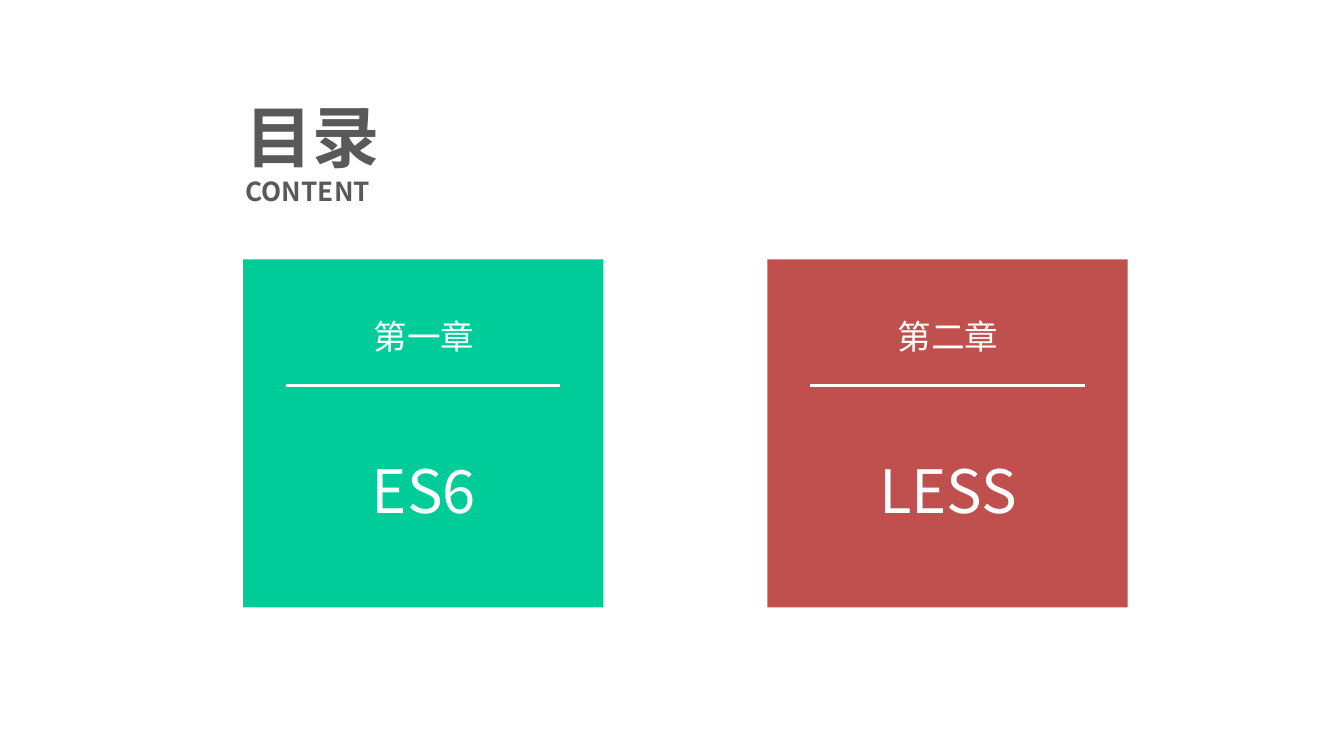
import pptx
import pptx.util
import pptx.dml.color
import pptx.enum.shapes
import pptx.enum.text
import pptx.oxml.ns
import lxml.etree

Inches = pptx.util.Inches
FONT = "Noto Sans CJK SC"
WHITE = "FFFFFF"
GREY = "595959"


def color(code):
    """Turn a hex string into a colour."""
    return pptx.dml.color.RGBColor.from_string(code)


def add_sub(node, tag, **attrs):
    """Append an XML child in the drawing namespace."""
    return lxml.etree.SubElement(node, pptx.oxml.ns.qn(tag), attrs)


def add_text(shapes, lines, box, tint=WHITE, bold=False, align="CENTER"):
    """Add a text box with one paragraph per (text, size, line height)."""
    frame = shapes.add_textbox(*map(Inches, box)).text_frame
    frame.word_wrap = True
    for i, (text, size, high) in enumerate(lines):
        para = frame.add_paragraph() if i else frame.paragraphs[0]
        para.alignment = getattr(pptx.enum.text.PP_ALIGN, align)
        para.line_spacing = pptx.util.Pt(high)
        run = para.add_run()
        run.text = text
        run.font.size = pptx.util.Pt(size)
        run.font.bold = bold
        run.font.name = FONT
        run.font.color.rgb = color(tint)
        add_sub(run.font._element, "a:ea", typeface=FONT)


def add_rect(shapes, box, fill):
    """Add a plain filled rectangle."""
    kind = pptx.enum.shapes.MSO_SHAPE.RECTANGLE
    rect = shapes.add_shape(kind, *map(Inches, box))
    rect.shadow.inherit = False
    rect.fill.solid()
    rect.fill.fore_color.rgb = color(fill)
    rect.line.fill.background()


def add_rule(shapes, left, top, width):
    """Add a thin white horizontal line."""
    kind = pptx.enum.shapes.MSO_CONNECTOR.STRAIGHT
    ends = (left, top, left + width, top)
    rule = shapes.add_connector(kind, *map(Inches, ends))
    rule.line.color.rgb = color(WHITE)
    rule.line.width = pptx.util.Pt(1.5)
    add_sub(rule._element.spPr, "a:effectLst")


def add_card(slide, left, fill, label, topic):
    """Add one grouped chapter card."""
    shapes = slide.shapes.add_group_shape().shapes
    add_rect(shapes, (left, 1.93, 2.68, 2.59), fill)
    add_rule(shapes, left + 0.32, 2.87, 2.04)
    add_text(shapes, [(topic, 32, 38.5)], (left + 0.28, 3.33, 2.13, 0.64))
    add_text(shapes, [(label, 18, 21.8)], (left + 0.6, 2.3, 1.49, 0.4))


def main():
    """Build the contents slide."""
    deck = pptx.Presentation()
    deck.slide_width = Inches(10)
    deck.slide_height = deck.slide_width * 9 // 16
    slide = deck.slides.add_slide(deck.slide_layouts[6])
    title = [("目录", 36, 43.2), ("CONTENT", 14, 16.3)]
    add_text(slide.shapes, title, (1.73, 0.66, 2.76, 0.94),
             tint=GREY, bold=True, align="LEFT")
    cards = [("00CC99", "第一章", "ES6"), ("C0504D", "第二章", "LESS")]
    for i, card in enumerate(cards):
        add_card(slide, 1.81 + 3.9 * i, *card)
    deck.save("out.pptx")


if __name__ == "__main__":
    main()
